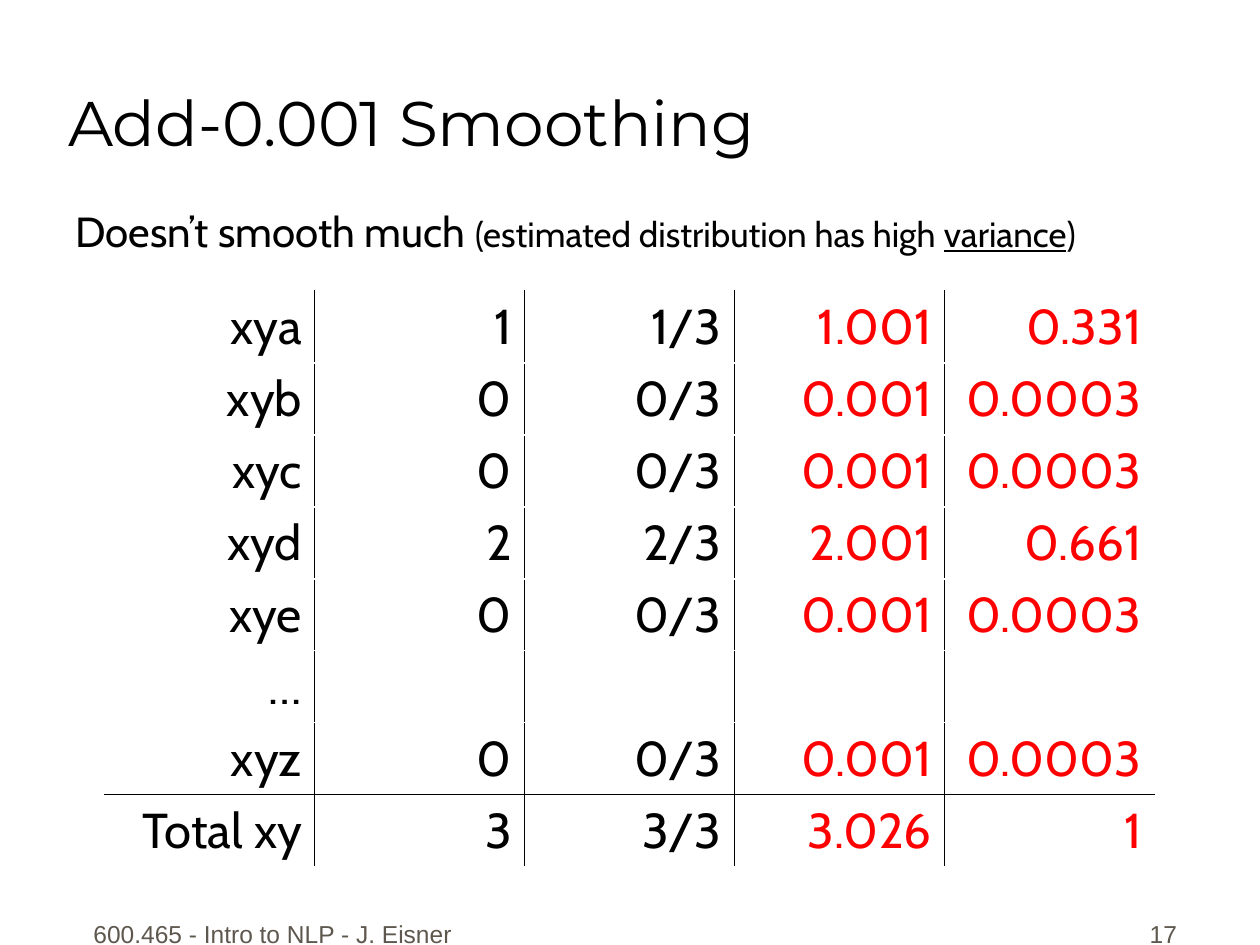
import pptx
import pptx.util
import pptx.dml.color
import pptx.enum.text
import pptx.oxml
import pptx.oxml.ns

Inches, Pt = pptx.util.Inches, pptx.util.Pt
ALIGN, ANCHOR = pptx.enum.text.PP_ALIGN, pptx.enum.text.MSO_ANCHOR
BLACK = pptx.dml.color.RGBColor(0x00, 0x00, 0x00)
RED = pptx.dml.color.RGBColor(0xFF, 0x00, 0x00)
BROWN = pptx.dml.color.RGBColor(0x5E, 0x57, 0x4E)

# Content
TITLE = "Add-0.001 Smoothing"
# text, size, underlined
CLAIM = [
    ("Doesn’t smooth much ", 24, False),
    ("(estimated distribution has high ", 20, False),
    ("variance", 20, True),
    (")", 20, False),
]
ROWS = [
    ("xya", "1", "1/3", "1.001", "0.331"),
    ("xyb", "0", "0/3", "0.001", "0.0003"),
    ("xyc", "0", "0/3", "0.001", "0.0003"),
    ("xyd", "2", "2/3", "2.001", "0.661"),
    ("xye", "0", "0/3", "0.001", "0.0003"),
    ("…", "", "", "", ""),
    ("xyz", "0", "0/3", "0.001", "0.0003"),
    ("Total xy", "3", "3/3", "3.026", "1"),
]
COLORS = [BLACK, BLACK, BLACK, RED, RED]
# text, left, width, alignment
FOOTERS = [
    ("600.465 - Intro to NLP - J. Eisner", 0.58, 3.17, ALIGN.CENTER),
    ("17", 7.36, 2.08, ALIGN.RIGHT),
]


def place(shape, left, top, width, height):
    shape.left, shape.top = Inches(left), Inches(top)
    shape.width, shape.height = Inches(width), Inches(height)


def style(font, name, size, color):
    font.name, font.size = name, Pt(size)
    font.color.rgb = color


def rule(cell, sides):
    """Draw thin black borders on the given sides, in L, R, T, B order."""
    props = cell._tc.get_or_add_tcPr()
    for side in sides:
        props.append(pptx.oxml.parse_xml(
            f'<a:ln{side} {pptx.oxml.ns.nsdecls("a")} w="{Pt(0.45)}"><a:solidFill>'
            f'<a:srgbClr val="{BLACK}"/></a:solidFill></a:ln{side}>'))


deck = pptx.Presentation()
deck.slide_width, deck.slide_height = Inches(10), Inches(7.5)
slide = deck.slides.add_slide(deck.slide_layouts[1])
title, body = slide.placeholders

# Title
place(title, 0.44, 0.06, 9.56, 1.25)
title.text_frame.text = TITLE
title.text_frame.vertical_anchor = ANCHOR.BOTTOM
title.text_frame.auto_size = pptx.enum.text.MSO_AUTO_SIZE.NONE
head = title.text_frame.paragraphs[0]
head.alignment = ALIGN.LEFT
style(head.font, "Montserrat", 36, BLACK)

# Footer and slide number
for text, left, width, align in FOOTERS:
    box = slide.shapes.add_textbox(0, 0, 0, 0)
    place(box, left, 7.08, width, 0.5)
    frame = box.text_frame
    frame.word_wrap = True
    frame.vertical_anchor = ANCHOR.BOTTOM
    frame.text = text
    frame.paragraphs[0].alignment = align
    style(frame.paragraphs[0].font, "Arial", 14, BROWN)

# Table of counts: rules between columns and above the total
holder = slide.shapes.add_table(
    len(ROWS), len(COLORS),
    Inches(0.83), Inches(2.31), Inches(8.33), Inches(4.57))
table = holder.table
table.first_row = table.horz_banding = False
last, end = len(ROWS) - 1, len(COLORS) - 1
for r, row in enumerate(ROWS):
    for c, (text, color) in enumerate(zip(row, COLORS)):
        cell = table.cell(r, c)
        sides = [("L", c > 0), ("R", c < end), ("T", r == last), ("B", r == last - 1)]
        rule(cell, [side for side, drawn in sides if drawn])
        cell.fill.background()
        cell.text = text
        para = cell.text_frame.paragraphs[0]
        para.alignment = ALIGN.RIGHT
        style(para.font, "Cabin", 28, color)

# Claim, in front of the table
place(body, 0.5, 1.58, 9.5, 5.08)
body.text_frame.auto_size = pptx.enum.text.MSO_AUTO_SIZE.NONE
line = body.text_frame.paragraphs[0]
props = line._p.get_or_add_pPr()
props.set("marL", str(Inches(0.38)))
props.set("indent", str(Inches(-0.38)))
props.append(pptx.oxml.parse_xml(f'<a:buNone {pptx.oxml.ns.nsdecls("a")}/>'))
line.space_before = Pt(0)
for text, size, under in CLAIM:
    run = line.add_run()
    run.text = text
    style(run.font, "Cabin", size, BLACK)
    run.font.underline = under
holder._element.addnext(body._element)

deck.save("out.pptx")
